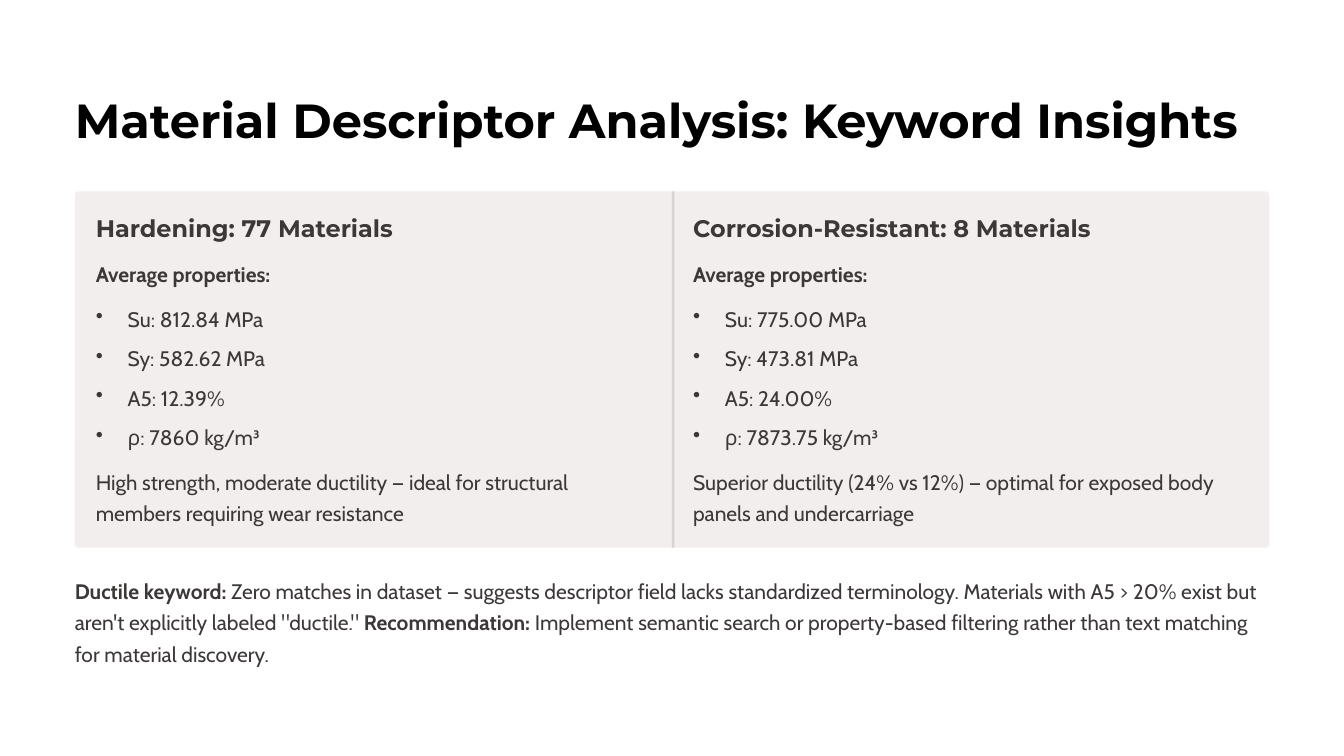
from lxml.etree import SubElement
from pptx import Presentation
from pptx.dml.color import RGBColor
from pptx.enum.shapes import MSO_SHAPE
from pptx.oxml.ns import qn
from pptx.util import Inches, Pt

INK = "3D3838"
PANEL = "F2EEEE"
DIVIDER = "D8D4D4"
MARGIN = 0.89
PADDING = 0.25
INDENT = 0.38
COLUMNS = [
    ("Hardening: 77 Materials",
     ["Su: 812.84 MPa", "Sy: 582.62 MPa", "A5: 12.39%", "ρ: 7860 kg/m³"],
     "High strength, moderate ductility — ideal for structural members requiring wear resistance"),
    ("Corrosion-Resistant: 8 Materials",
     ["Su: 775.00 MPa", "Sy: 473.81 MPa", "A5: 24.00%", "ρ: 7873.75 kg/m³"],
     "Superior ductility (24% vs 12%) — optimal for exposed body panels and undercarriage"),
]
SUMMARY = [
    ("Ductile keyword:", True),
    (" Zero matches in dataset — suggests descriptor field lacks standardized terminology. "
     "Materials with A5 > 20% exist but aren't explicitly labeled \"ductile.\" ", False),
    ("Recommendation:", True),
    (" Implement semantic search or property-based filtering rather than text matching "
     "for material discovery.", False),
]


def color(value):
    """Turn a hex string into a colour."""
    return RGBColor.from_string(value)


def add_block(page, kind, left, top, width, height, fill):
    """Add a plain filled shape."""
    block = page.shapes.add_shape(kind, Inches(left), Inches(top), Inches(width), Inches(height))
    block.shadow.inherit = False
    block.fill.solid()
    block.fill.fore_color.rgb = color(fill)
    block.line.fill.background()
    return block


def add_bullet(para):
    """Give a paragraph a hanging round bullet."""
    properties = para._p.get_or_add_pPr()
    properties.set("marL", str(Inches(INDENT)))
    properties.set("indent", str(-Inches(INDENT)))
    SubElement(properties, qn("a:buChar")).set("char", "•")


def add_text(page, left, top, width, height, paragraphs, size=18, leading=27,
             font="Cabin", ink=INK, bullets=False):
    """Add a text box from paragraphs, each a list of (text, bold) runs."""
    box = page.shapes.add_textbox(Inches(left), Inches(top), Inches(width), Inches(height))
    frame = box.text_frame
    frame.word_wrap = True
    frame.margin_left = frame.margin_top = frame.margin_right = frame.margin_bottom = 0
    for index, runs in enumerate(paragraphs):
        para = frame.add_paragraph() if index else frame.paragraphs[0]
        para.line_spacing = Pt(leading)
        if index:
            para.space_before = Pt(6.84)
        if bullets:
            add_bullet(para)
        for text, bold in runs:
            span = para.add_run()
            span.text = text
            span.font.name = font
            span.font.size = Pt(size)
            span.font.bold = bold
            span.font.color.rgb = color(ink)


def add_title(page, left, top, width, height):
    """Add the slide title."""
    add_text(page, left, top, width, height,
             [[("Material Descriptor Analysis: Keyword Insights", True)]],
             size=41, leading=51.5, font="Montserrat", ink="000000")


def add_column(page, left, top, width, heading, values, verdict):
    """Add one group of materials with its average properties."""
    inner_left = left + PADDING
    inner_width = width - 2 * PADDING
    add_text(page, inner_left, top + 0.25, inner_width, 0.36, [[(heading, True)]],
             size=20.5, leading=25.5, font="Montserrat")
    add_text(page, inner_left, top + 0.76, inner_width, 0.38, [[("Average properties:", True)]])
    add_text(page, inner_left, top + 1.29, inner_width, 1.79,
             [[(value, False)] for value in values], bullets=True)
    add_text(page, inner_left, top + 3.23, inner_width, 0.76, [[(verdict, False)]])


def add_comparison(page, left, top, width, height):
    """Add the panel with its equal columns and the dividers between them."""
    panel = add_block(page, MSO_SHAPE.ROUNDED_RECTANGLE, left, top, width, height, PANEL)
    panel.adjustments[0] = 0.01
    column_width = width / len(COLUMNS)
    for index, column in enumerate(COLUMNS):
        column_left = left + index * column_width
        if index:
            add_block(page, MSO_SHAPE.RECTANGLE, column_left, top, 0.03, height, DIVIDER)
        add_column(page, column_left, top, column_width, *column)


def main():
    """Build and save the slide."""
    deck = Presentation()
    deck.slide_width, deck.slide_height = Inches(16), Inches(9)
    page = deck.slides.add_slide(deck.slide_layouts[6])
    width = 16 - 2 * MARGIN
    add_title(page, MARGIN, 1.05, width, 0.72)
    add_comparison(page, MARGIN, 2.28, width, 4.24)
    add_text(page, MARGIN, 6.81, width, 1.14, [SUMMARY])
    deck.save("out.pptx")


if __name__ == "__main__":
    main()
